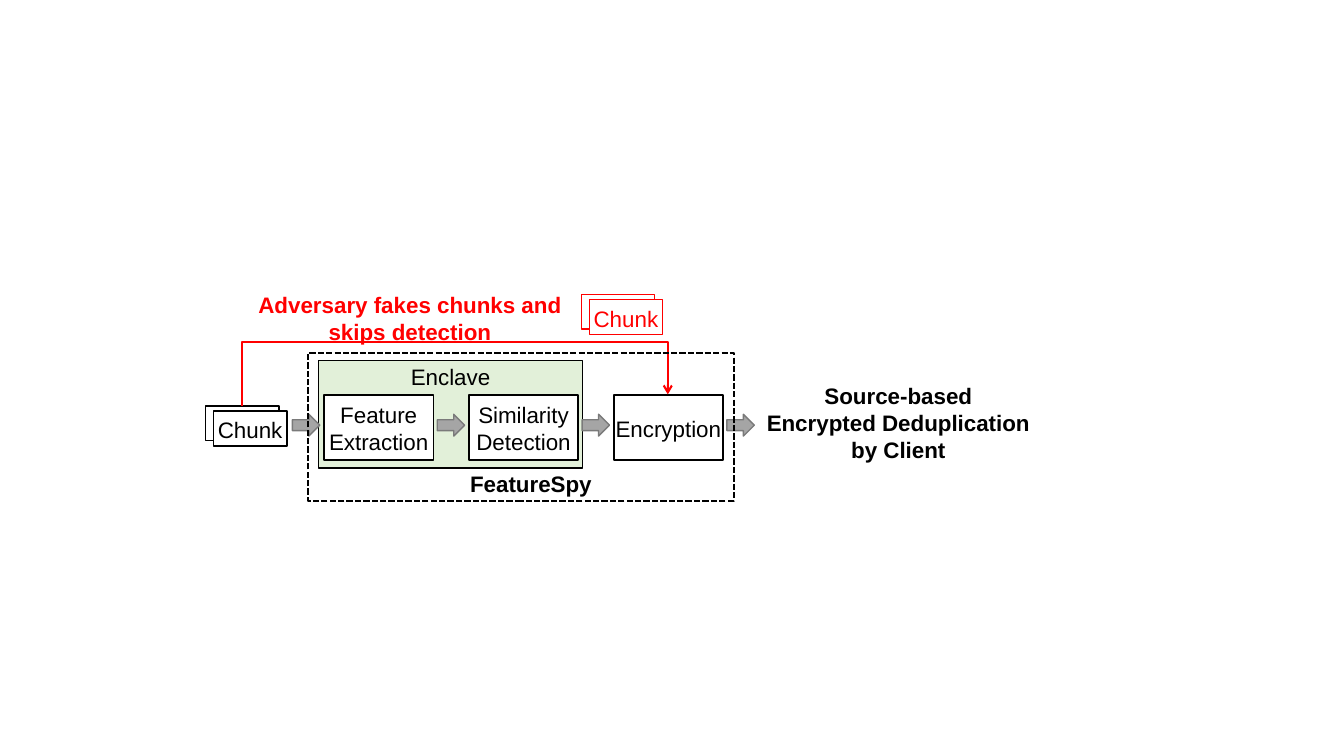
from pptx import Presentation
from pptx.dml.color import RGBColor
from pptx.enum.dml import MSO_LINE
from pptx.enum.shapes import MSO_CONNECTOR as LINK, MSO_SHAPE as SHAPE
from pptx.enum.text import MSO_ANCHOR as ANCHOR, PP_ALIGN as ALIGN
from pptx.oxml.ns import qn
from pptx.util import Cm, Pt
from lxml.etree import SubElement as sub

BLACK, WHITE, RED = "000000", "FFFFFF", "FF0000"
GREEN, GREY, EDGE = "E2F0D9", "A5A5A5", "7A7A7A"
STEP = 3.65


def color(target, code):
    target.rgb = RGBColor.from_string(code)


def write(frame, text, code=BLACK, bold=False, anchor=ANCHOR.MIDDLE):
    frame.word_wrap = True
    frame.vertical_anchor = anchor
    frame.text = text
    for para in frame.paragraphs:
        para.alignment = ALIGN.CENTER
        font = para.font
        font.name, font.size, font.bold = "Arial", Pt(16), bold
        color(font.color, code)


def shape(slide, kind, x, y, w, h, fill=WHITE, line=BLACK, width=1):
    item = slide.shapes.add_shape(kind, Cm(x), Cm(y), Cm(w), Cm(h))
    item.shadow.inherit = False
    if fill:
        item.fill.solid()
        color(item.fill.fore_color, fill)
    else:
        item.fill.background()
    color(item.line.color, line)
    item.line.width = Pt(width)
    return item


def box(slide, x, y, w, h, text, fill=WHITE, code=BLACK, anchor=ANCHOR.MIDDLE):
    frame = shape(slide, SHAPE.RECTANGLE, x, y, w, h, fill, code).text_frame
    frame.margin_left = frame.margin_right = frame.margin_bottom = 0
    frame.margin_top = Cm(0.05)
    write(frame, text, code, anchor=anchor)


def chunks(slide, x, y, code):
    shape(slide, SHAPE.RECTANGLE, x, y, 1.85, 0.87, line=code)
    box(slide, x + 0.2, y + 0.13, 1.85, 0.88, "Chunk", code=code)


def label(slide, x, y, w, h, text, code=BLACK):
    item = slide.shapes.add_textbox(Cm(x), Cm(y), Cm(w), Cm(h))
    write(item.text_frame, text, code, bold=True)


def bypass(slide):
    link = slide.shapes.add_connector(
        LINK.ELBOW, Cm(11.61), Cm(15.44), Cm(11.33), Cm(4.72))
    color(link.line.color, RED)
    link.line.width = Pt(1.5)
    props = link.element.spPr
    props.find(qn("a:xfrm")).set("rot", "5400000")
    guides = props.find(qn("a:prstGeom")).get_or_add_avLst()
    sub(guides, qn("a:gd"), name="adj1", fmla="val 575700")
    sub(props.find(qn("a:ln")), qn("a:tailEnd"), type="arrow")
    sub(props, qn("a:effectLst"))


def main():
    deck = Presentation()
    deck.slide_width, deck.slide_height = Cm(33.87), Cm(19.05)
    slide = deck.slides.add_slide(deck.slide_layouts[6])

    chunks(slide, 5.18, 10.23, BLACK)
    box(slide, 8.03, 9.09, 6.65, 2.7, "Enclave", GREEN, anchor=ANCHOR.TOP)
    steps = "Feature Extraction", "Similarity Detection", "Encryption"
    for i, name in enumerate(steps):
        box(slide, 8.17 + i * STEP, 9.95, 2.75, 1.64, name)
    for i in range(len(steps) + 1):
        shape(slide, SHAPE.RIGHT_ARROW, 7.37 + i * STEP, 10.44, 0.69, 0.55,
              GREY, EDGE)

    bypass(slide)
    chunks(slide, 14.65, 7.42, RED)
    label(slide, 6.1, 7.2, 8.46, 1.63,
          "Adversary fakes chunks and skips detection", RED)
    label(slide, 19.02, 9.5, 7.24, 2.31,
          "Source-based\nEncrypted Deduplication by Client")
    frame = shape(slide, SHAPE.RECTANGLE, 7.77, 8.89, 10.72, 3.73, None,
                  width=1.5)
    frame.line.dash_style = MSO_LINE.SQUARE_DOT
    label(slide, 11.33, 11.71, 4.1, 0.94, "FeatureSpy")
    deck.save("out.pptx")


main()
